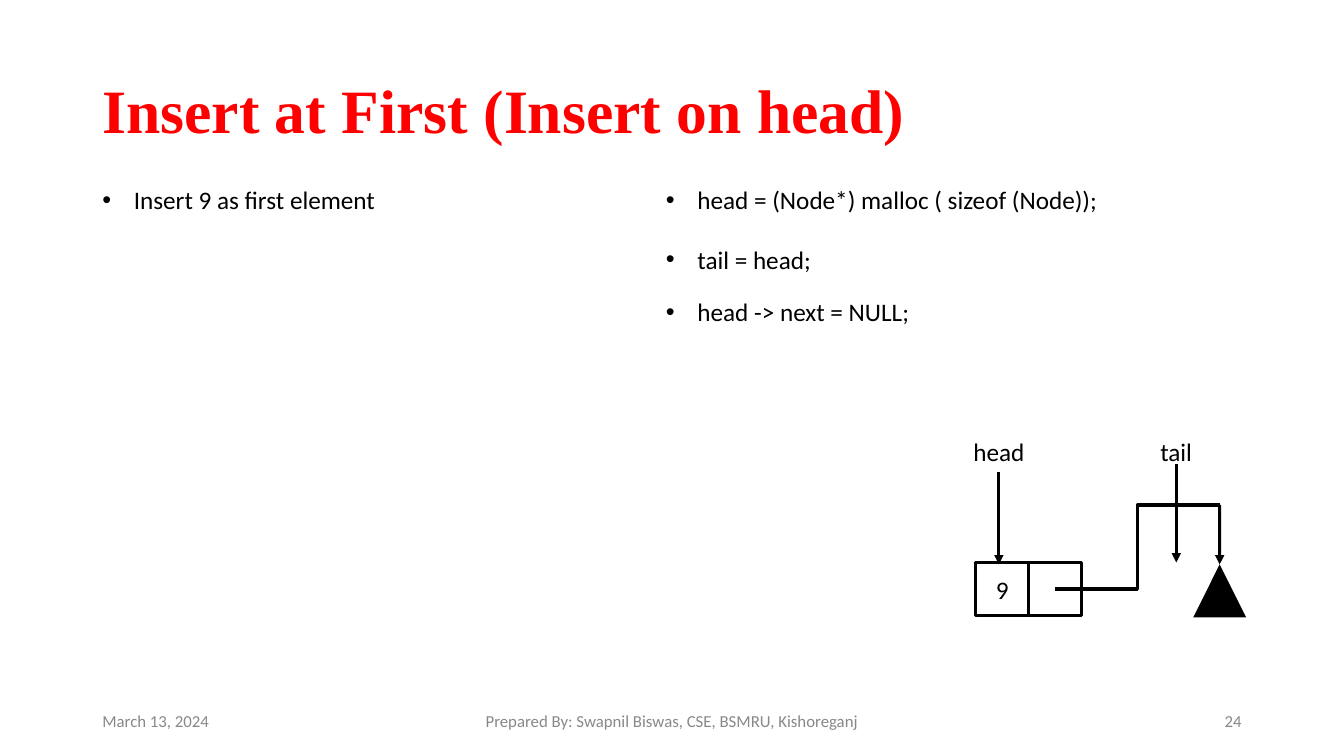
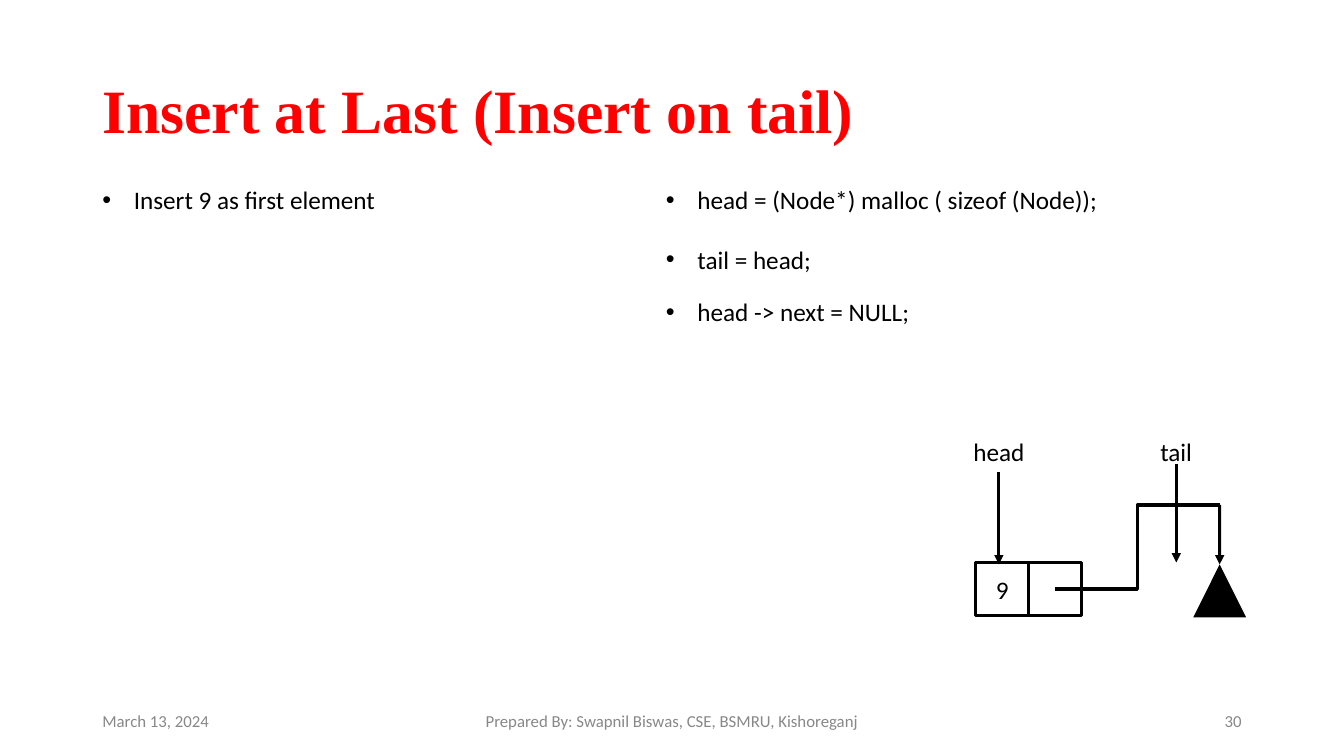
from lxml import etree
from pptx import Presentation
from pptx.dml.color import RGBColor
from pptx.enum import shapes, text
from pptx.oxml.ns import qn
from pptx.util import Pt

# Content
SLIDES = [("Insert at First (Insert on head)", "24"),
          ("Insert at Last (Insert on tail)", "30")]
DATE = "March 13, 2024"
AUTHOR = "Prepared By: Swapnil Biswas, CSE, BSMRU, Kishoreganj"
BULLETS = [  # text, left, top, width
    ("Insert 9 as first element", 66, 128, 214.6),
    ("head = (Node*) malloc ( sizeof (Node));", 468.6, 128, 345.6),
    ("tail = head;", 468.6, 170.6, 125.3),
    ("head -> next = NULL;", 468.6, 208, 213.8),
]
NODE = ["9", ""]
POINTERS = [  # label, centre, label width, arrow top, arrow bottom
    ("head", 713.5, 51.8, 337, 403.2),
    ("tail", 840.2, 38.9, 331.2, 401.8),
]

# Shared style
COLORS = {"title": "FF0000", "ink": "000000", "footer": "888888"}
BODY = {"name": "Calibri", "size": Pt(18), "color": "ink"}
TITLE = {"name": "Times New Roman", "size": Pt(44), "bold": True, "color": "title"}
FOOTER = {"name": "Calibri", "size": Pt(12), "color": "footer"}
LEFT, CENTER, RIGHT = text.PP_ALIGN.LEFT, text.PP_ALIGN.CENTER, text.PP_ALIGN.RIGHT

# Diagram measures
LINE_H = 28.8
LABEL_TOP = 308.2
CELL = 37.8
NODE_LEFT, NODE_TOP = 697, 401.8
LINK_TOP = 360.7
NULL_X, NULL_TOP = 871.2, 403.2
ARROW_WIDTH = 2.25


def rgb(name):
    return RGBColor.from_string(COLORS[name])


def write(frame, words, style, align=LEFT, bullet=False):
    paragraph = frame.paragraphs[0]
    paragraph.alignment = align
    if bullet:
        props = paragraph._p.get_or_add_pPr()
        props.set("marL", str(Pt(22.5)))
        props.set("indent", str(-Pt(22.5)))
        color = etree.SubElement(props, qn("a:buClr"))
        etree.SubElement(color, qn("a:srgbClr"), val=COLORS["ink"])
        etree.SubElement(props, qn("a:buFont"), typeface="Arial")
        etree.SubElement(props, qn("a:buChar"), char="•")
    run = paragraph.add_run()
    run.text = words
    for key, value in style.items():
        if key == "color":
            run.font.color.rgb = rgb(value)
        else:
            setattr(run.font, key, value)
    return paragraph


def add_text(slide, words, box, style, align=LEFT, bullet=False, wrap=True):
    frame = slide.shapes.add_textbox(*map(Pt, box)).text_frame
    frame.word_wrap = wrap
    frame.vertical_anchor = text.MSO_ANCHOR.MIDDLE
    return write(frame, words, style, align, bullet)


def add_block(slide, kind, left, top):
    block = slide.shapes.add_shape(kind, *map(Pt, (left, top, CELL, CELL)))
    block.shadow.inherit = False
    return block


def add_line(slide, start, end, kind=shapes.MSO_CONNECTOR.STRAIGHT, arrow=True):
    line = slide.shapes.add_connector(kind, *map(Pt, (*start, *end)))
    line.line.color.rgb = rgb("ink")
    line.line.width = Pt(ARROW_WIDTH)
    if arrow:
        etree.SubElement(line.line._get_or_add_ln(), qn("a:tailEnd"), type="triangle")
    etree.SubElement(line._element.spPr, qn("a:effectLst"))
    return line


def add_frame(slide, title, number):
    heading = add_text(slide, title, (66, 28.8, 828, 104.4), TITLE)
    heading.line_spacing = 0.9
    for words, left, width, align in ((DATE, 66, 216, LEFT),
                                      (AUTHOR, 318, 324, CENTER),
                                      (number, 678, 216, RIGHT)):
        add_text(slide, words, (left, 500.4, width, LINE_H), FOOTER, align)


def add_list_diagram(slide):
    # Node: value cell and link cell
    for i, value in enumerate(NODE):
        cell = add_block(slide, shapes.MSO_SHAPE.RECTANGLE, NODE_LEFT + i * CELL, NODE_TOP)
        cell.fill.background()
        cell.line.color.rgb = rgb("ink")
        cell.line.width = Pt(2)
        if value:
            write(cell.text_frame, value, BODY, CENTER)

    # Head and tail pointers
    for label, x, width, top, bottom in POINTERS:
        add_text(slide, label, (x - width / 2, LABEL_TOP, width, LINE_H),
                 BODY, CENTER, wrap=False)
        add_line(slide, (x, top), (x, bottom))

    # Link from the node to the null mark
    null_mark = add_block(slide, shapes.MSO_SHAPE.ISOSCELES_TRIANGLE,
                          NULL_X - CELL / 2, NULL_TOP)
    null_mark.fill.solid()
    null_mark.fill.fore_color.rgb = rgb("ink")
    null_mark.line.fill.background()
    link_start = (NODE_LEFT + 1.5 * CELL, NODE_TOP + CELL / 2)
    add_line(slide, link_start, (NULL_X, LINK_TOP), shapes.MSO_CONNECTOR.ELBOW, arrow=False)
    drop = add_line(slide, (NULL_X, LINK_TOP), (NULL_X, NULL_TOP))
    drop.end_connect(null_mark, 0)


def main():
    deck = Presentation()
    deck.slide_width, deck.slide_height = Pt(960), Pt(540)
    for title, number in SLIDES:
        slide = deck.slides.add_slide(deck.slide_layouts[6])
        add_frame(slide, title, number)
        for words, left, top, width in BULLETS:
            add_text(slide, words, (left, top, width, LINE_H), BODY, bullet=True)
        add_list_diagram(slide)
    deck.save("out.pptx")


if __name__ == "__main__":
    main()
